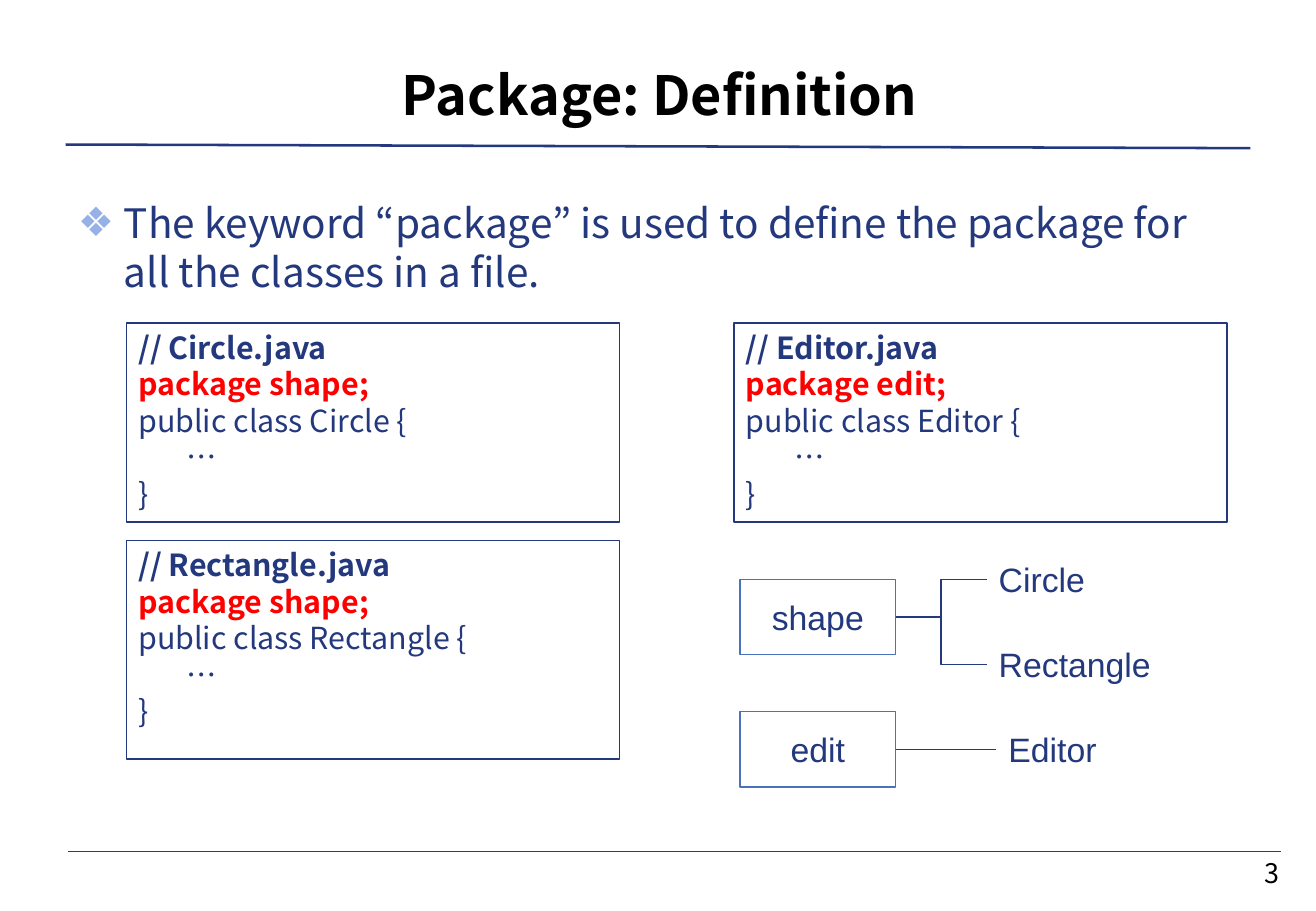
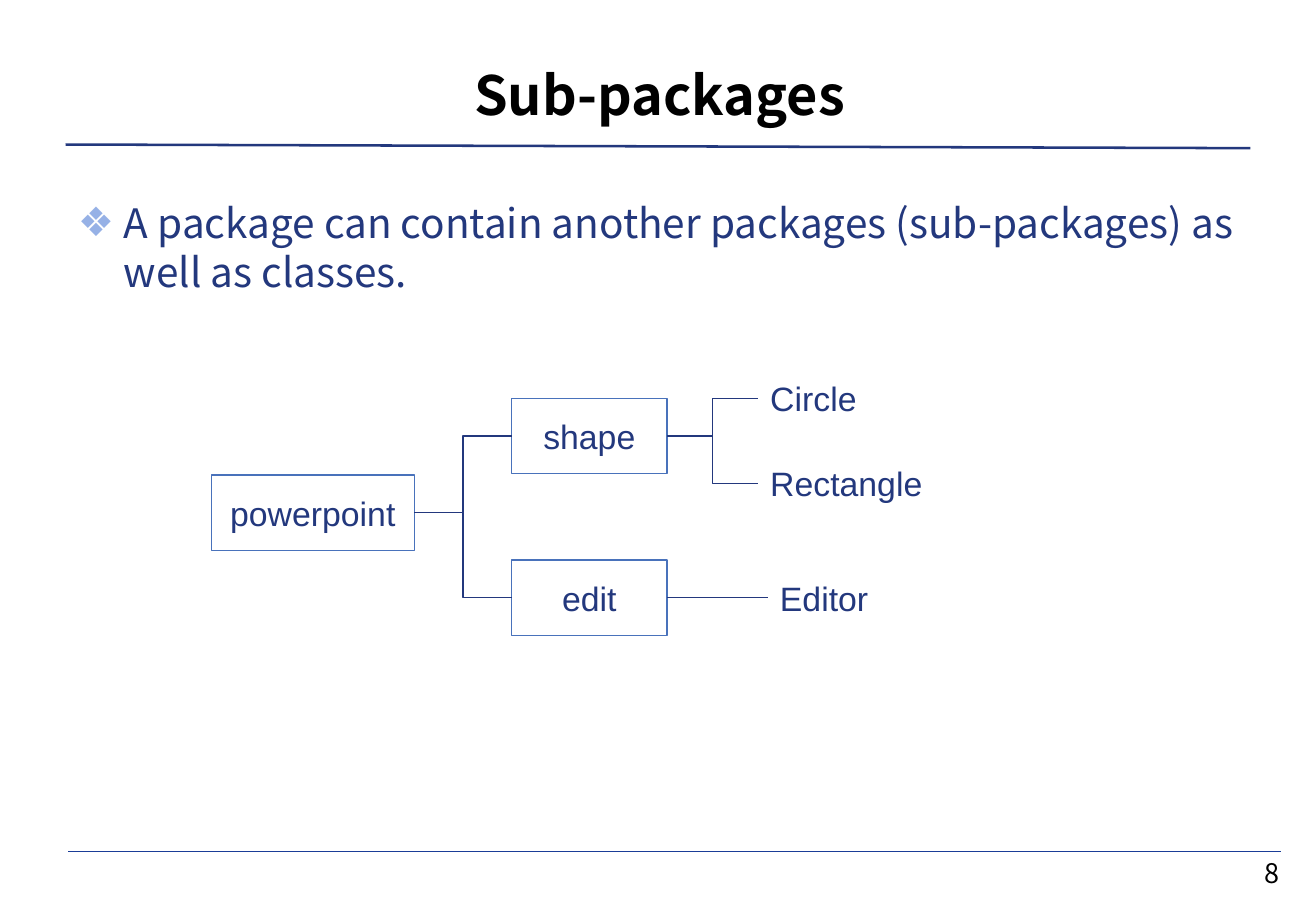
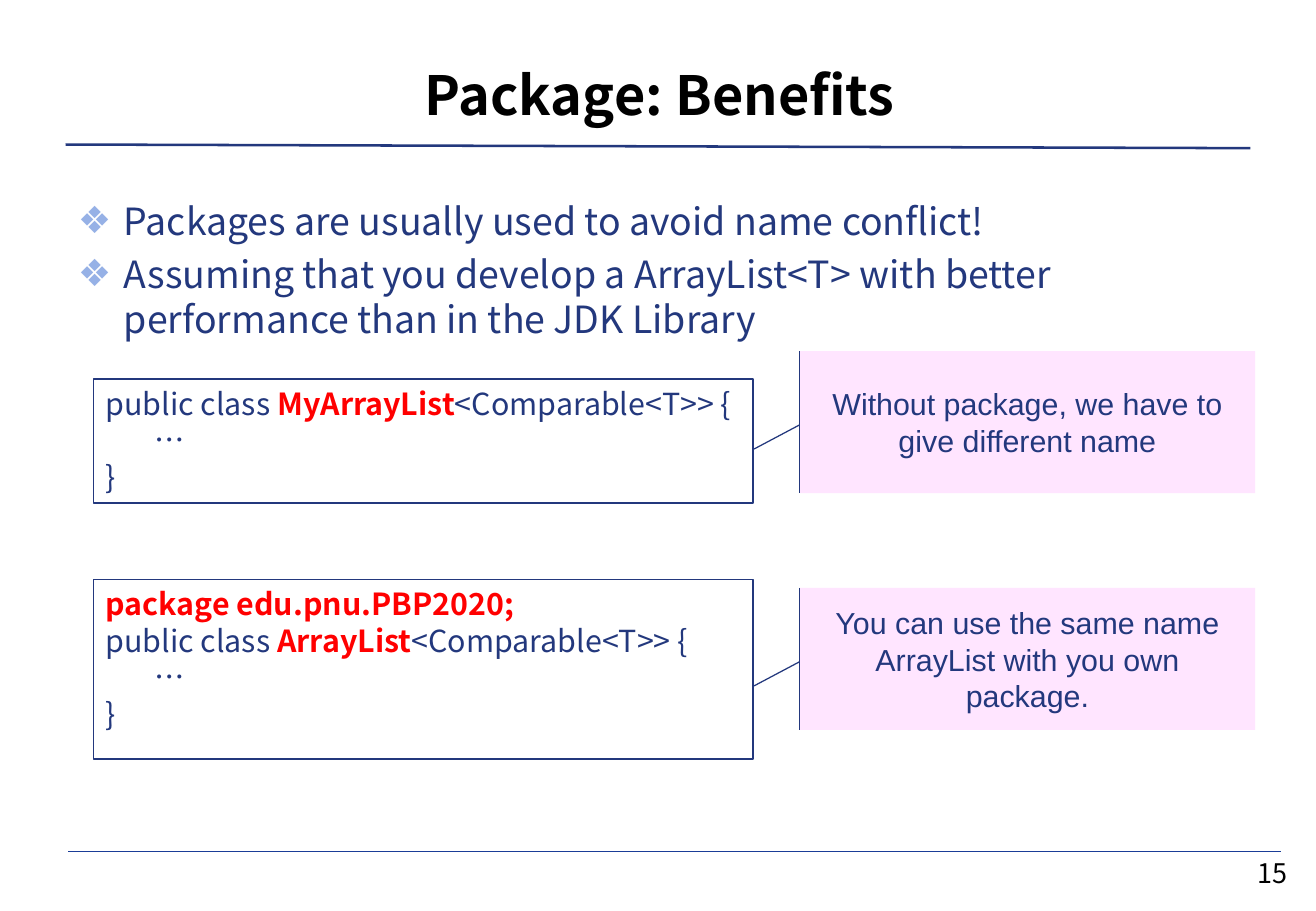
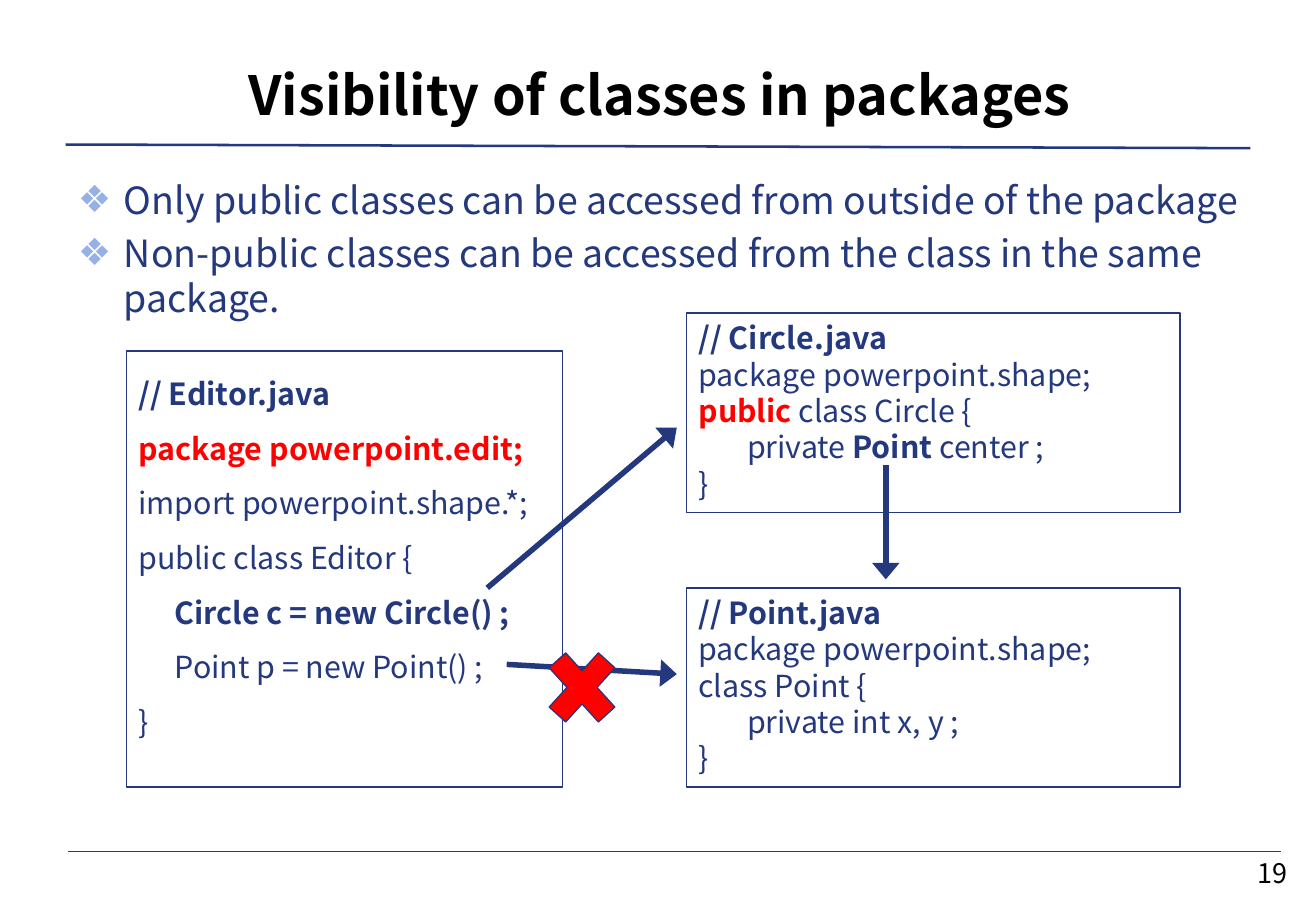
from dataclasses import dataclass
from typing import NamedTuple

from lxml.etree import SubElement
from pptx import Presentation
from pptx.dml.color import RGBColor
from pptx.enum.shapes import MSO_CONNECTOR, MSO_SHAPE
from pptx.enum.text import MSO_ANCHOR, MSO_AUTO_SIZE, PP_ALIGN
from pptx.oxml.ns import qn
from pptx.util import Inches, Pt


@dataclass(frozen=True)
class Theme:
    navy: RGBColor = RGBColor(0x23, 0x38, 0x7D)
    node_edge: RGBColor = RGBColor(0x49, 0x72, 0xBB)
    footer_rule: RGBColor = RGBColor(0x1A, 0x3D, 0x97)
    bullet: RGBColor = RGBColor(0x96, 0xB1, 0xE6)
    alert: RGBColor = RGBColor(0xFF, 0, 0)
    pink: RGBColor = RGBColor(0xFF, 0x9B, 0xFF)
    black: RGBColor = RGBColor(0, 0, 0)
    text_font: str = "Noto Sans CJK KR"
    diagram_font: str = "Arial"
    title_size: float = 32
    body_size: float = 24
    body_small: float = 22.2
    node_size: float = 20
    code_size: float = 18
    number_size: float = 16
    bullet_gap: float = 4.8
    hairline: float = 0.25
    title_rule_width: float = 1.5
    frame_width: float = 1
    thin_width: float = 0.75
    arrow_width: float = 3.25


class Box(NamedTuple):
    left: float
    top: float
    width: float
    height: float

    def emu(self):
        return [Inches(length) for length in self]


THEME = Theme()
SLIDE_WIDTH, SLIDE_HEIGHT = 10.83, 7.5
TITLE_BOX = Box(0.56, 0.35, 9.74, 0.84)
NUMBER_BOX = Box(10.22, 7.05, 0.5, 0.27)
BULLET_INDENT = 0.38
NODE_WIDTH, NODE_HEIGHT = 1.28, 0.62
LABEL_WIDTH = 1.59
CODE_WIDTH, CODE_HEIGHT = 4.06, 1.64
CODE_TAB = 0.4

RUN_STYLES = {
    "plain": (THEME.navy, False),
    "bold": (THEME.navy, True),
    "alert": (THEME.alert, True),
}
SHAPE_CLASSES = [("Circle", 2.03, -0.31), ("Rectangle", 2.03, 0.39)]
EDIT_CLASSES = [("Editor", 2.11, 0)]


def set_all(target, values):
    for name, value in values.items():
        setattr(target, name, value)


def place(shape, box):
    set_all(shape, dict(zip(("left", "top", "width", "height"), box.emu())))


def add_run(paragraph, text, font, size, color=THEME.navy, bold=False):
    run = paragraph.add_run()
    run.text = text
    set_all(run.font, {"name": font, "size": Pt(size), "bold": bold})
    run.font.color.rgb = color
    SubElement(run._r.get_or_add_rPr(), qn("a:ea"), typeface=font)


def outline(shape, color, width):
    shape.line.color.rgb = color
    shape.line.width = Pt(width)


def add_line(slide, start, end, color, width, kind=MSO_CONNECTOR.STRAIGHT, arrow=False):
    line = slide.shapes.add_connector(kind, *(Inches(v) for v in (*start, *end)))
    outline(line, color, width)
    properties = line.element.spPr
    if arrow:
        SubElement(properties.find(qn("a:ln")), qn("a:tailEnd"),
                   type="triangle", w="lg", len="med")
    SubElement(properties, qn("a:effectLst"))
    return line


def add_frame(slide, box, color, width, kind=MSO_SHAPE.RECTANGLE):
    frame = slide.shapes.add_shape(kind, *box.emu())
    frame.shadow.inherit = False
    frame.fill.background()
    outline(frame, color, width)
    return frame


def dress_layout(layout, slide):
    """Give the layout its title place and both rules, drawn by way of the slide."""
    place(layout.placeholders[0], TITLE_BOX)
    rules = [
        ((0.56, 7.01), (10.54, 7.01), THEME.footer_rule, THEME.hairline),
        ((0.54, 1.19), (10.29, 1.22), THEME.navy, THEME.title_rule_width),
    ]
    for shape_id, rule in enumerate(rules, start=100):
        element = add_line(slide, *rule).element
        element.nvCxnSpPr.cNvPr.id = shape_id
        layout.shapes.element.append(element)


def fill_title(slide, text):
    frame = slide.shapes.title.text_frame
    set_all(frame, {"vertical_anchor": MSO_ANCHOR.MIDDLE, "auto_size": MSO_AUTO_SIZE.NONE})
    heading = frame.paragraphs[0]
    heading.alignment = PP_ALIGN.CENTER
    add_run(heading, text, THEME.text_font, THEME.title_size, THEME.black, True)


def fill_bullets(slide, box, items, size):
    body = slide.placeholders[1]
    place(body, box)
    frame = body.text_frame
    set_all(frame, {"vertical_anchor": MSO_ANCHOR.TOP, "auto_size": MSO_AUTO_SIZE.NONE})
    for index, item in enumerate(items):
        bullet = frame.add_paragraph() if index else frame.paragraphs[0]
        properties = bullet._p.get_or_add_pPr()
        properties.set("marL", str(Inches(BULLET_INDENT)))
        properties.set("indent", str(-Inches(BULLET_INDENT)))
        color = SubElement(properties, qn("a:buClr"))
        SubElement(color, qn("a:srgbClr"), val=str(THEME.bullet))
        SubElement(properties, qn("a:buChar"), char="❖")
        bullet.space_before = Pt(THEME.bullet_gap if index else 0)
        add_run(bullet, item, THEME.text_font, size)


def add_number(slide, number):
    frame = slide.shapes.add_textbox(*NUMBER_BOX.emu()).text_frame
    set_all(frame, {"margin_left": 0, "margin_right": 0, "margin_top": 0, "margin_bottom": 0,
                    "word_wrap": True, "vertical_anchor": MSO_ANCHOR.MIDDLE})
    line = frame.paragraphs[0]
    line.alignment = PP_ALIGN.CENTER
    add_run(line, str(number), THEME.text_font, THEME.number_size, THEME.black)


def new_slide(deck, number, title, bullets, body_box, size):
    layout = deck.slide_layouts[1]
    slide = deck.slides.add_slide(layout)
    if len(deck.slides) == 1:
        dress_layout(layout, slide)
    fill_title(slide, title)
    fill_bullets(slide, body_box, bullets, size)
    add_number(slide, number)
    return slide


def code_box(slide, box, lines, tab=CODE_TAB, spacing=1.0):
    """Draw framed code; each line is a list of (text, style) runs."""
    frame = add_frame(slide, box, THEME.navy, THEME.frame_width).text_frame
    set_all(frame, {"word_wrap": True, "vertical_anchor": MSO_ANCHOR.TOP})
    for index, runs in enumerate(lines):
        line = frame.add_paragraph() if index else frame.paragraphs[0]
        tabs = SubElement(line._p.get_or_add_pPr(), qn("a:tabLst"))
        SubElement(tabs, qn("a:tab"), pos=str(Inches(tab)), algn="l")
        set_all(line, {"alignment": PP_ALIGN.LEFT, "line_spacing": spacing})
        for text, style in runs:
            add_run(line, text, THEME.text_font, THEME.code_size, *RUN_STYLES[style])


def class_source(name, package):
    return [
        [(f"// {name}.java", "bold")],
        [(f"package {package};", "alert")],
        [(f"public class {name} {{", "plain")],
        [("\t…", "plain")],
        [("}", "plain")],
    ]


def list_source(name):
    return [
        [("public class ", "plain"), (name, "alert"), ("<Comparable<T>> {", "plain")],
        [("\t…", "plain")],
        [("}", "plain")],
    ]


def diagram_text(shape, text, size, alignment):
    frame = shape.text_frame
    set_all(frame, {"word_wrap": True, "vertical_anchor": MSO_ANCHOR.MIDDLE})
    frame.paragraphs[0].alignment = alignment
    add_run(frame.paragraphs[0], text, THEME.diagram_font, size)


def package_node(slide, left, top, name, width=NODE_WIDTH):
    node = add_frame(slide, Box(left, top, width, NODE_HEIGHT), THEME.node_edge, THEME.thin_width)
    diagram_text(node, name, THEME.node_size, PP_ALIGN.CENTER)
    return node


def join(slide, parent, child):
    level = parent.top == child.top
    kind = MSO_CONNECTOR.STRAIGHT if level else MSO_CONNECTOR.ELBOW
    link = add_line(slide, (0, 0), (1, 1), THEME.navy, THEME.thin_width, kind)
    link.begin_connect(parent, 3)
    link.end_connect(child, 1)


def package_branch(slide, left, top, name, classes):
    """Draw a package and its classes, each with an offset from the package."""
    package = package_node(slide, left, top, name)
    for class_name, right, down in classes:
        box = Box(left + right, top + down, LABEL_WIDTH, NODE_HEIGHT)
        label = slide.shapes.add_textbox(*box.emu())
        diagram_text(label, class_name, THEME.node_size, PP_ALIGN.LEFT)
        join(slide, package, label)
    return package


def remark(slide, left, top, text):
    callout = add_frame(slide, Box(left, top, 3.75, 1.17), THEME.navy, THEME.thin_width,
                        MSO_SHAPE.LINE_CALLOUT_1_ACCENT_BAR)
    for index, value in enumerate((0.52, 0, 0.69, -0.1)):
        callout.adjustments[index] = value
    callout.fill.solid()
    callout.fill.fore_color.rgb = THEME.pink
    tint = callout.element.spPr.find(qn("a:solidFill")).find(qn("a:srgbClr"))
    SubElement(tint, qn("a:alpha"), val="26000")
    diagram_text(callout, text, THEME.code_size, PP_ALIGN.CENTER)


def definition_slide(deck):
    slide = new_slide(
        deck, 3, "Package: Definition",
        ["The keyword “package” is used to define the package for all the classes in a file."],
        Box(0.54, 1.58, 9.75, 1.07), THEME.body_size)
    sources = [
        (1.04, 2.66, CODE_HEIGHT, "Circle", "shape"),
        (1.04, 4.45, 1.8, "Rectangle", "shape"),
        (6.04, 2.66, CODE_HEIGHT, "Editor", "edit"),
    ]
    for left, top, height, name, package in sources:
        code_box(slide, Box(left, top, CODE_WIDTH, height), class_source(name, package))
    package_branch(slide, 6.09, 4.77, "shape", SHAPE_CLASSES)
    package_branch(slide, 6.09, 5.86, "edit", EDIT_CLASSES)


def sub_packages_slide(deck):
    slide = new_slide(
        deck, 8, "Sub-packages",
        ["A package can contain another packages (sub-packages) as well as classes."],
        Box(0.54, 1.58, 9.75, 0.99), THEME.body_size)
    root = package_node(slide, 1.74, 3.91, "powerpoint", 1.67)
    for top, name, classes in ((3.28, "shape", SHAPE_CLASSES), (4.61, "edit", EDIT_CLASSES)):
        join(slide, root, package_branch(slide, 4.21, top, name, classes))


def benefits_slide(deck):
    slide = new_slide(
        deck, 15, "Package: Benefits",
        ["Packages are usually used to avoid name conflict!",
         "Assuming that you develop a ArrayList<T> with better performance than in the JDK Library"],
        Box(0.54, 1.58, 9.75, 1.23), THEME.body_small)
    code_box(slide, Box(0.77, 3.12, 5.43, 1.02), list_source("MyArrayList"))
    remark(slide, 6.58, 2.89, "Without package, we have to give different name")
    code_box(slide, Box(0.77, 4.77, 5.43, 1.48),
             [[("package edu.pnu.PBP2020;", "alert")], *list_source("ArrayList")])
    remark(slide, 6.58, 4.84, "You can use the same name ArrayList with you own package.")


def visibility_slide(deck):
    slide = new_slide(
        deck, 19, "Visibility of classes in packages",
        ["Only public classes can be accessed from outside of the package",
         "Non-public classes can be accessed from the class in the same package."],
        Box(0.54, 1.41, 9.85, 1.31), THEME.body_small)
    code_box(slide, Box(5.65, 2.58, CODE_WIDTH, CODE_HEIGHT), [
        [("// Circle.java", "bold")],
        [("package powerpoint.shape;", "plain")],
        [("public", "alert"), (" class Circle {", "plain")],
        [("\tprivate ", "plain"), ("Point", "bold"), (" center ;", "plain")],
        [("}", "plain")],
    ])
    code_box(slide, Box(5.65, 4.84, CODE_WIDTH, CODE_HEIGHT), [
        [("// Point.java", "bold")],
        [("package powerpoint.shape;", "plain")],
        [("class Point {", "plain")],
        [("\tprivate int x, y ;", "plain")],
        [("}", "plain")],
    ])
    code_box(slide, Box(1.04, 2.89, 3.59, 3.59), [
        [("// Editor.java", "bold")],
        [("package powerpoint.edit;", "alert")],
        [("import powerpoint.shape.*;", "plain")],
        [("public class Editor {", "plain")],
        [("\tCircle c = new Circle() ;", "bold")],
        [("\tPoint p = new Point() ;", "plain")],
        [("}", "plain")],
    ], tab=0.3, spacing=1.5)
    uses = [
        ((4.01, 4.84), (5.57, 3.52)),
        ((4.17, 5.47), (5.57, 5.55)),
        ((7.29, 3.83), (7.29, 4.77)),
    ]
    for start, end in uses:
        add_line(slide, start, end, THEME.navy, THEME.arrow_width, arrow=True)
    denied = add_frame(slide, Box(4.4, 5.23, 0.78, 0.86), THEME.navy, THEME.thin_width,
                       MSO_SHAPE.MATH_MULTIPLY)
    denied.fill.solid()
    denied.fill.fore_color.rgb = THEME.alert


def main():
    deck = Presentation()
    set_all(deck, {"slide_width": Inches(SLIDE_WIDTH), "slide_height": Inches(SLIDE_HEIGHT)})
    for build in (definition_slide, sub_packages_slide, benefits_slide, visibility_slide):
        build(deck)
    deck.save("out.pptx")


if __name__ == "__main__":
    main()
